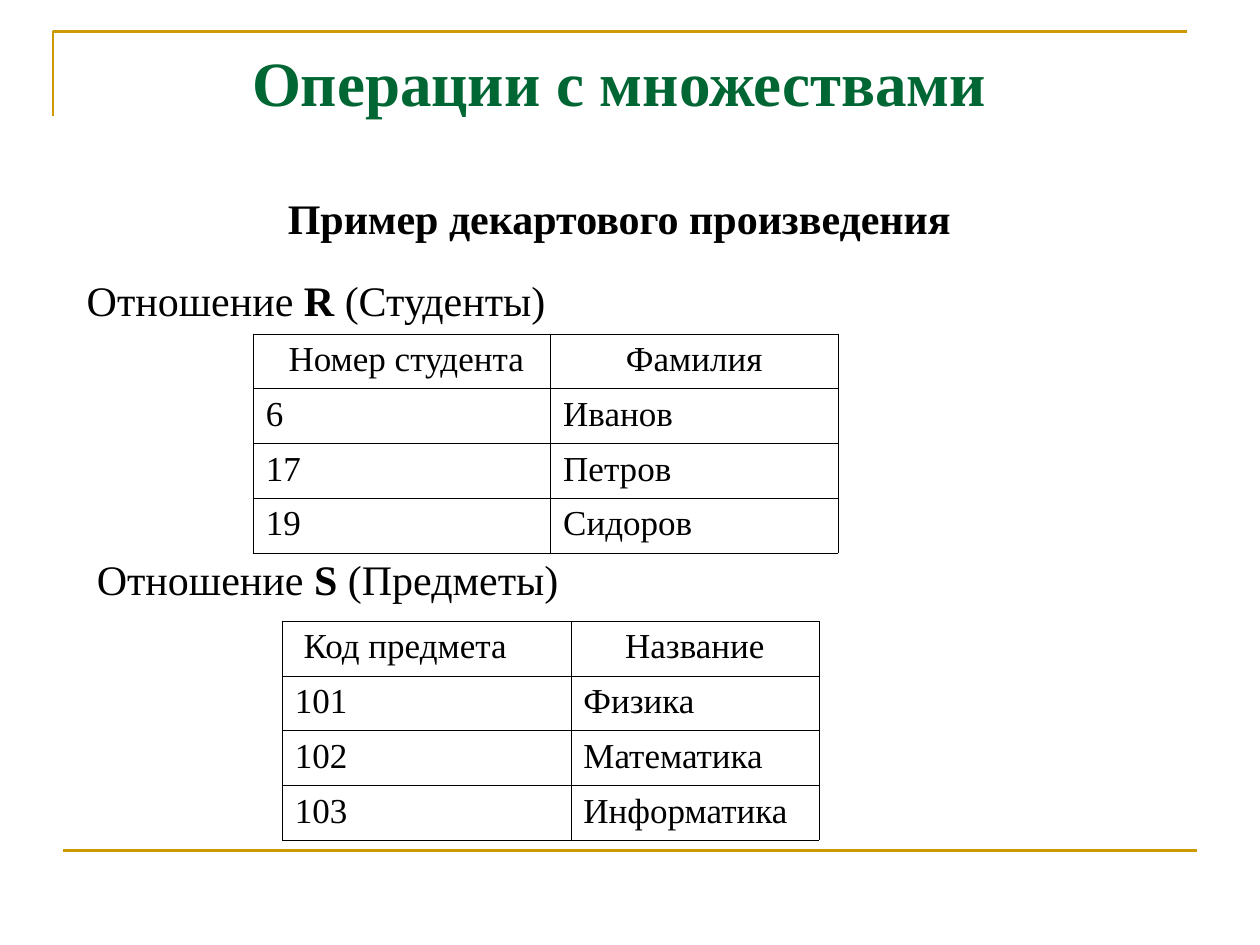
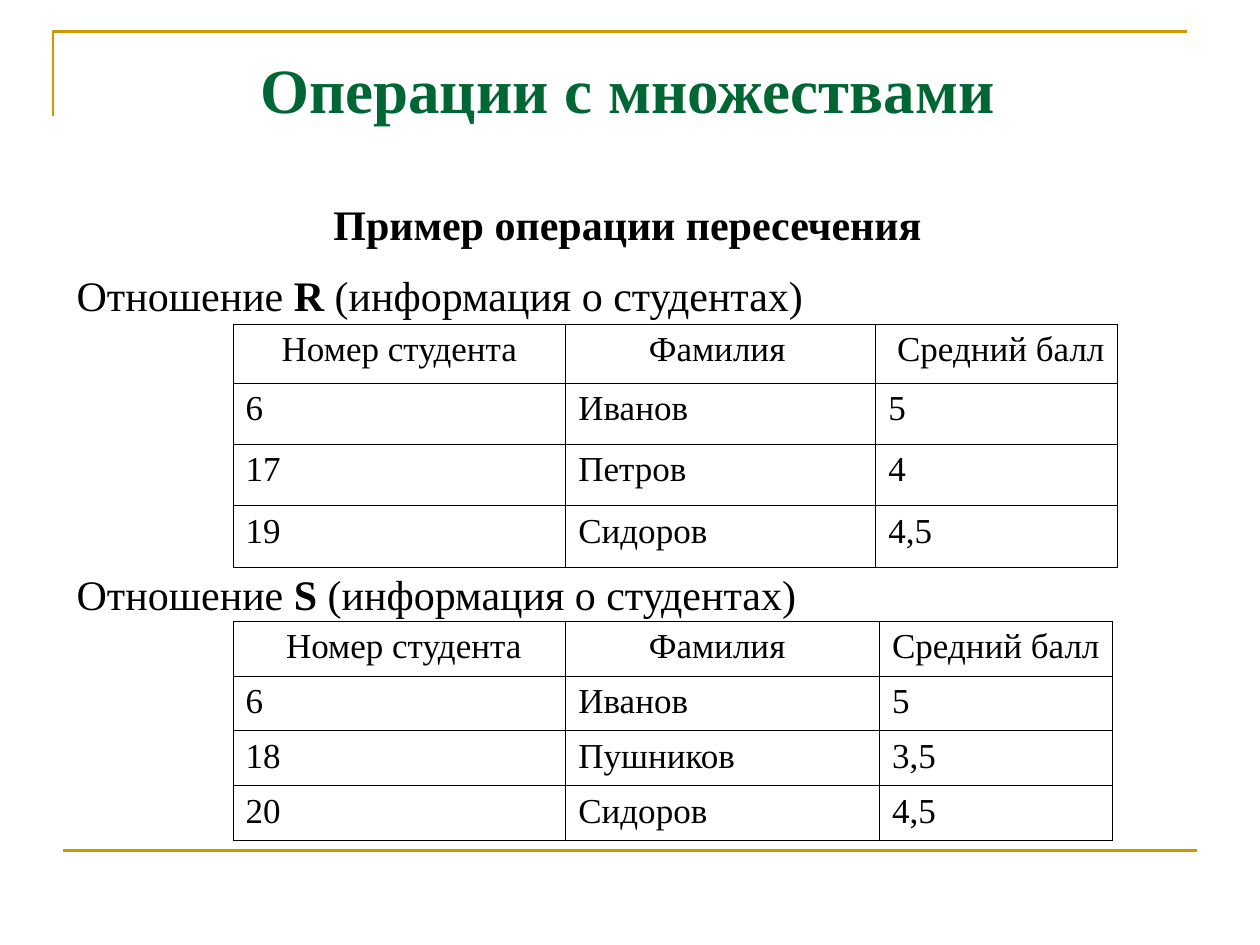
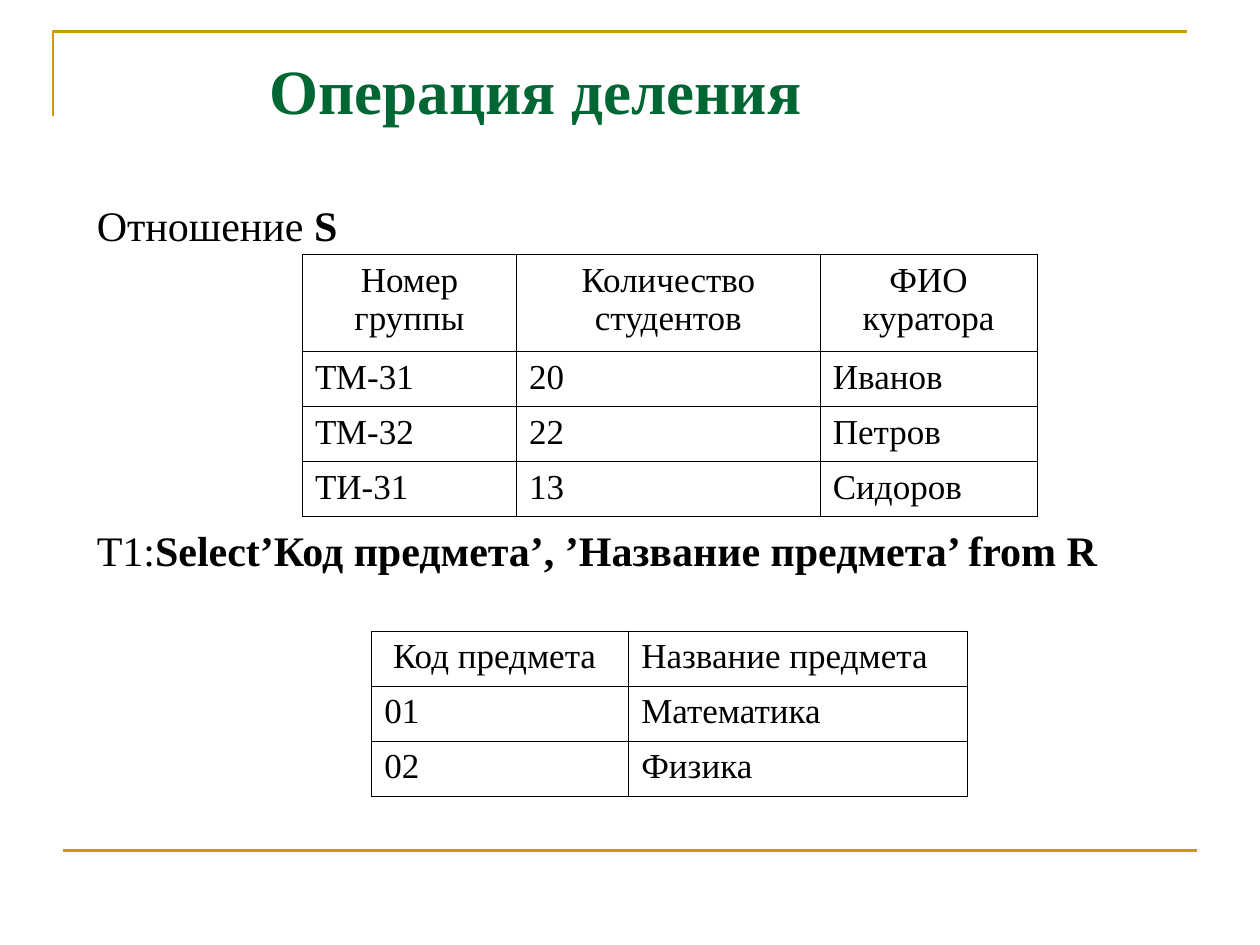
import pptx
import pptx.dml.color
import pptx.enum.shapes
import pptx.enum.text
import pptx.oxml
import pptx.oxml.ns
import pptx.util

Inches = pptx.util.Inches
LEFT = pptx.enum.text.PP_ALIGN.LEFT
CENTER = pptx.enum.text.PP_ALIGN.CENTER
MIDDLE = pptx.enum.text.MSO_ANCHOR.MIDDLE
SPACE = 0.07  # width of one 20 pt space, in inches


def rgb(value):
    return pptx.dml.color.RGBColor.from_string(value)


def add_text(paragraph, text, size=24, color="000000", bold=False, font="Times New Roman"):
    run = paragraph.add_run()
    run.text = text
    run.font.name = font
    run.font.size = pptx.util.Pt(size)
    run.font.color.rgb = rgb(color)
    run.font.bold = bold


def border_cell(cell, width, color="000000"):
    properties = cell._tc.get_or_add_tcPr()
    for position, side in enumerate(("lnL", "lnR", "lnT", "lnB")):
        edge = pptx.oxml.parse_xml(
            f'<a:{side} {pptx.oxml.ns.nsdecls("a")} w="{pptx.util.Pt(width)}">'
            f'<a:solidFill><a:srgbClr val="{color}"/></a:solidFill></a:{side}>'
        )
        properties.insert(position, edge)


class Deck:
    """Holds the shared style and the slide being filled."""

    GOLD = "CC9900"
    GREEN = "006633"

    def __init__(self):
        self.presentation = pptx.Presentation()
        self.presentation.slide_width = Inches(10)
        self.presentation.slide_height = Inches(7.5)
        self.slide = None

    def new_slide(self):
        """Add a blank slide with the gold corner and the bottom rule."""
        self.slide = self.presentation.slides.add_slide(self.presentation.slide_layouts[6])
        outline = self.slide.shapes.build_freeform(Inches(0.42), Inches(0.92))
        outline.add_line_segments(
            [(Inches(0.42), Inches(0.25)), (Inches(9.42), Inches(0.25))], close=False
        )
        corner = outline.convert_to_shape()
        corner.fill.background()
        corner.shadow.inherit = False
        bottom_rule = self.slide.shapes.add_connector(
            pptx.enum.shapes.MSO_CONNECTOR.STRAIGHT,
            Inches(0.5), Inches(6.75), Inches(9.5), Inches(6.75),
        )
        bottom_rule._element.spPr.append(
            pptx.oxml.parse_xml(f'<a:effectLst {pptx.oxml.ns.nsdecls("a")}/>')
        )
        for gold_line in (corner.line, bottom_rule.line):
            gold_line.color.rgb = rgb(self.GOLD)
            gold_line.width = pptx.util.Pt(1.5)

    def text_frame(self, left, top, width, height, wrap=True):
        box = self.slide.shapes.add_textbox(
            Inches(left), Inches(top), Inches(width), Inches(height)
        )
        box.text_frame.word_wrap = wrap
        return box.text_frame

    def title(self, left, top, width, heading, subtitle=None):
        """Place the heading; with a subtitle, both are centred."""
        frame = self.text_frame(left, top, width, 1.63 if subtitle else 0.7)
        heading_line = frame.paragraphs[0]
        add_text(heading_line, heading, size=36, color=self.GREEN, bold=True)
        if subtitle:
            subtitle_line = frame.add_paragraph()
            subtitle_line.space_before = pptx.util.Pt(41.4)
            add_text(subtitle_line, subtitle, bold=True)
            heading_line.alignment = subtitle_line.alignment = CENTER

    def label(self, left, top, width, *parts):
        """Write one line whose parts alternate between regular and bold."""
        frame = self.text_frame(left, top, width, 0.5)
        frame.vertical_anchor = MIDDLE
        for index, part in enumerate(parts):
            add_text(frame.paragraphs[0], part, bold=index % 2 == 1)

    def table(self, left, top, height, widths, headings, records,
              header_height=None, border=0.34):
        """Draw a relation; each heading is (text, alignment, extra left indent)."""
        row_count = len(records) + 1
        header_height = header_height or height / row_count
        grid = self.slide.shapes.add_table(
            row_count, len(widths), Inches(left), Inches(top),
            Inches(sum(widths)), Inches(height),
        ).table
        grid.first_row = grid.horz_banding = False
        for column, width in zip(grid.columns, widths):
            column.width = Inches(width)
        for index, row in enumerate(grid.rows):
            row.height = Inches(
                (height - header_height) / len(records) if index else header_height
            )
        rows = [headings] + [[(value, LEFT, 0) for value in record] for record in records]
        for row, entries in zip(grid.rows, rows):
            for cell, (text, alignment, indent) in zip(row.cells, entries):
                cell.fill.background()
                cell.margin_left = Inches(0.1 + indent)
                border_cell(cell, border)
                paragraph = cell.text_frame.paragraphs[0]
                paragraph.alignment = alignment
                add_text(paragraph, text, size=20)


def cartesian_product(deck):
    deck.new_slide()
    deck.title(0.35, 0.3, 9.13, "Операции с множествами", "Пример декартового произведения")
    deck.label(0.59, 2.13, 4.6, "Отношение ", "R ", "(Студенты)")
    deck.table(
        2.01, 2.65, 1.74, [2.36, 2.28],
        [("Номер студента", CENTER, SPACE), ("Фамилия", CENTER, 0)],
        [("6", "Иванов"), ("17", "Петров"), ("19", "Сидоров")],
    )
    deck.label(0.67, 4.34, 5.67, "Отношение ", "S", " (Предметы)")
    deck.table(
        2.24, 4.93, 1.74, [2.29, 1.97],
        [("Код предмета", LEFT, SPACE), ("Название", CENTER, 0)],
        [("101", "Физика"), ("102", "Математика"), ("103", "Информатика")],
    )


def intersection(deck):
    surname = ("Фамилия", LEFT, 8 * SPACE)
    deck.new_slide()
    deck.title(0.51, 0.35, 8.94, "Операции с множествами", "Пример операции пересечения")
    deck.label(0.51, 2.09, 8.35, "Отношение ", "R ", "(информация о студентах)")
    deck.table(
        1.85, 2.57, 1.93, [2.64, 2.46, 1.92],
        [("Номер студента", CENTER, 0), surname, ("Средний балл", LEFT, SPACE)],
        [("6", "Иванов", "5"), ("17", "Петров", "4"), ("19", "Сидоров", "4,5")],
        header_height=0.47,
    )
    deck.label(0.51, 4.46, 7.48, "Отношение ", "S", " (информация о студентах)")
    deck.table(
        1.85, 4.93, 1.74, [2.64, 2.49, 1.85],
        [("Номер студента", CENTER, SPACE), surname, ("Средний балл", LEFT, 0)],
        [("6", "Иванов", "5"), ("18", "Пушников", "3,5"), ("20", "Сидоров", "4,5")],
    )


def division(deck):
    deck.new_slide()
    deck.title(2.04, 0.36, 5.71, "Операция деления")
    deck.label(0.67, 1.53, 2.5, "Отношение ", "S")
    deck.table(
        2.4, 2.02, 2.08, [1.7, 2.41, 1.72],
        [(text, CENTER, 0) for text in ("Номер группы", "Количество студентов", "ФИО куратора")],
        [("ТМ-31", "20", "Иванов"), ("ТМ-32", "22", "Петров"), ("ТИ-31", "13", "Сидоров")],
        header_height=0.77, border=0.45,
    )
    deck.label(0.67, 4.11, 9.06, "T1:", "Select’Код предмета’, ’Название предмета’ from R")
    deck.table(
        2.95, 5.01, 1.31, [2.04, 2.69],
        [("Код предмета", LEFT, SPACE), ("Название предмета", LEFT, 0)],
        [("01", "Математика"), ("02", "Физика")],
        border=0.45,
    )


def main():
    deck = Deck()
    cartesian_product(deck)
    intersection(deck)
    division(deck)
    deck.presentation.save("out.pptx")


if __name__ == "__main__":
    main()
